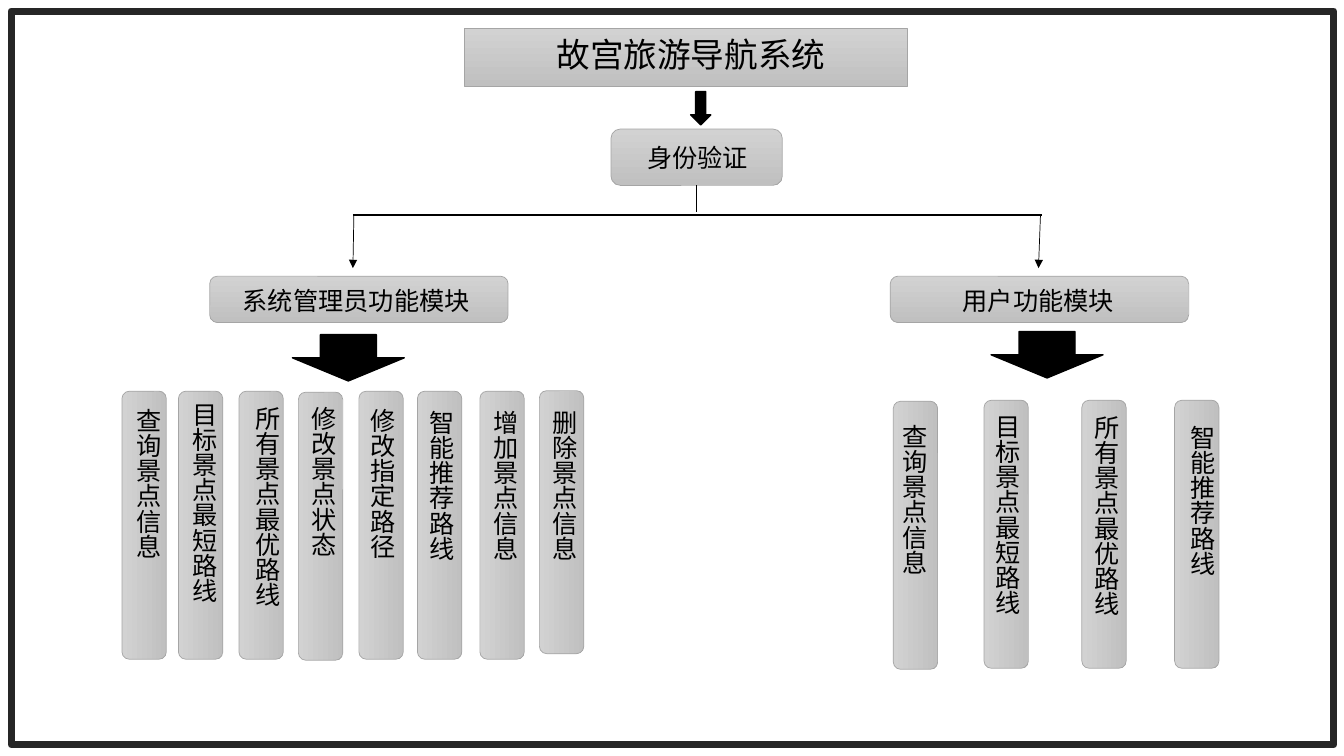
from typing import NamedTuple

from lxml.etree import SubElement
from pptx import Presentation
from pptx.dml.color import RGBColor
from pptx.enum.shapes import MSO_CONNECTOR, MSO_SHAPE
from pptx.enum.text import MSO_ANCHOR, MSO_AUTO_SIZE, PP_ALIGN
from pptx.oxml.ns import qn
from pptx.util import Inches, Pt

BLACK = "000000"
BAR_W = 0.44


class Bar(NamedTuple):
    label: str
    mid_x: float
    text_x: float
    text_y: float
    text_h: float
    mid_y: float
    span: float = 2.66


class Module(NamedTuple):
    label: str
    left: float
    text_x: float
    text_w: float
    arrow_x: float
    arrow_y: float


class Branch(NamedTuple):
    start: float
    end: float


MODULES = [
    Module("系统管理员功能模块", 2.08, 2.31, 2.96, 2.9, 3.32),
    Module("用户功能模块", 8.83, 9.45, 2.29, 9.83, 3.29),
]
BRANCHES = [Branch(3.51, 3.5), Branch(10.32, 10.3)]
BARS = [
    Bar("查询景点信息", 1.43, 1.17, 3.95, 2.24, 5.21),
    Bar("目标景点最短路线", 1.99, 1.72, 3.89, 2.77, 5.21),
    Bar("所有景点最优路线", 2.59, 2.35, 3.93, 2.77, 5.21),
    Bar("修改景点状态", 3.18, 2.91, 3.93, 2.26, 5.22),
    Bar("修改指定路径", 3.78, 3.49, 3.95, 2.07, 5.21),
    Bar("智能推荐路线", 4.36, 4.08, 3.97, 2.47, 5.21),
    Bar("增加景点信息", 4.98, 4.71, 3.97, 2.59, 5.21),
    Bar("删除景点信息", 5.57, 5.3, 3.97, 2.21, 5.18, 2.61),
    Bar("查询景点信息", 9.08, 8.77, 4.11, 2.24, 5.31),
    Bar("目标景点最短路线", 9.98, 9.69, 4.01, 2.77, 5.3),
    Bar("所有景点最优路线", 10.95, 10.67, 4.02, 2.77, 5.3),
    Bar("智能推荐路线", 11.87, 11.62, 4.12, 2.47, 5.3),
]


def color(code: str) -> RGBColor:
    return RGBColor.from_string(code)


def add_shape(slide, kind, x: float, y: float, w: float, h: float,
              line: str = BLACK, width: float = 1):
    shape = slide.shapes.add_shape(kind, Inches(x), Inches(y), Inches(w), Inches(h))
    shape.shadow.inherit = False
    shape.line.color.rgb = color(line)
    shape.line.width = Pt(width)
    return shape


def add_panel(slide, kind, x: float, y: float, w: float, h: float, turn: float = 0):
    """Draw a grey gradient box."""
    panel = add_shape(slide, kind, x, y, w, h, line="A5A5A5", width=0.5)
    panel.fill.gradient()
    panel.fill.gradient_angle = 270
    for stop, code in zip(panel.fill.gradient_stops, ("D2D2D2", "C0C0C0")):
        stop.color.rgb = color(code)
    panel.rotation = turn
    return panel


def add_arrow(slide, x: float, y: float, w: float, h: float) -> None:
    arrow = add_shape(slide, MSO_SHAPE.DOWN_ARROW, x, y, w, h)
    arrow.fill.solid()
    arrow.fill.fore_color.rgb = color(BLACK)


def add_line(slide, x1: float, y1: float, x2: float, y2: float,
             width: float = 0.5, head: bool = False):
    line = slide.shapes.add_connector(
        MSO_CONNECTOR.STRAIGHT, Inches(x1), Inches(y1), Inches(x2), Inches(y2))
    line.line.color.rgb = color(BLACK)
    line.line.width = Pt(width)
    if head:
        SubElement(line.line._get_or_add_ln(), qn("a:tailEnd"), type="triangle")
    SubElement(line.element.spPr, qn("a:effectLst"))
    return line


def write(box, text: str, size: float = 18, upright: bool = False) -> None:
    frame = box.text_frame
    frame.text = text
    frame.word_wrap = True
    frame.auto_size = MSO_AUTO_SIZE.SHAPE_TO_FIT_TEXT
    frame.vertical_anchor = MSO_ANCHOR.TOP
    if upright:
        box.element.txBody.bodyPr.set("vert", "eaVert")
    par = frame.paragraphs[0]
    par.alignment = PP_ALIGN.LEFT
    font = par.runs[0].font
    font.name, font.size = "Calibri", Pt(size)
    font.color.rgb = color(BLACK)


def add_text(slide, text: str, x: float, y: float, w: float, h: float,
             upright: bool = False) -> None:
    box = slide.shapes.add_textbox(Inches(x), Inches(y), Inches(w), Inches(h))
    write(box, text, upright=upright)


def add_title(slide, text: str) -> None:
    """Place the title in front of its panel."""
    add_panel(slide, MSO_SHAPE.RECTANGLE, 4.61, 0.28, 4.39, 0.58)
    title = slide.shapes.title
    title.left, title.top = Inches(5.42), Inches(0.29)
    title.width, title.height = Inches(4.08), Inches(0.5)
    write(title, text, size=24)
    title.element.getparent().append(title.element)


def add_login(slide) -> None:
    add_arrow(slide, 6.85, 0.91, 0.2, 0.33)
    login = add_panel(slide, MSO_SHAPE.ROUNDED_RECTANGLE, 6.06, 1.28, 1.7, 0.56)
    add_text(slide, "身份验证", 6.32, 1.36, 1.46, 0.4)
    stem = add_line(slide, 6.91, 1.84, 6.91, 2.1)
    stem.begin_connect(login, 2)
    add_line(slide, 3.5, 2.13, 10.33, 2.13, width=1.5)
    for branch in BRANCHES:
        add_line(slide, branch.start, 2.13, branch.end, 2.66, head=True)


def add_module(slide, mod: Module) -> None:
    add_panel(slide, MSO_SHAPE.ROUNDED_RECTANGLE, mod.left, 2.74, 2.96, 0.46)
    add_text(slide, mod.label, mod.text_x, 2.78, mod.text_w, 0.41)
    add_arrow(slide, mod.arrow_x, mod.arrow_y, 1.11, 0.46)


def add_bar(slide, bar: Bar) -> None:
    add_panel(slide, MSO_SHAPE.ROUNDED_RECTANGLE, bar.mid_x - bar.span / 2,
              bar.mid_y - BAR_W / 2, bar.span, BAR_W, turn=270)
    add_text(slide, bar.label, bar.text_x, bar.text_y, 0.5, bar.text_h, upright=True)


def main() -> None:
    deck = Presentation()
    deck.slide_width, deck.slide_height = Inches(13.33), Inches(7.5)
    slide = deck.slides.add_slide(deck.slide_layouts[5])
    border = add_shape(slide, MSO_SHAPE.RECTANGLE, 0.11, 0.11, 13.12, 7.28,
                       line="262626", width=5)
    border.fill.background()
    add_title(slide, "故宫旅游导航系统")
    add_login(slide)
    for mod in MODULES:
        add_module(slide, mod)
    for bar in BARS:
        add_bar(slide, bar)
    deck.save("out.pptx")


if __name__ == "__main__":
    main()
